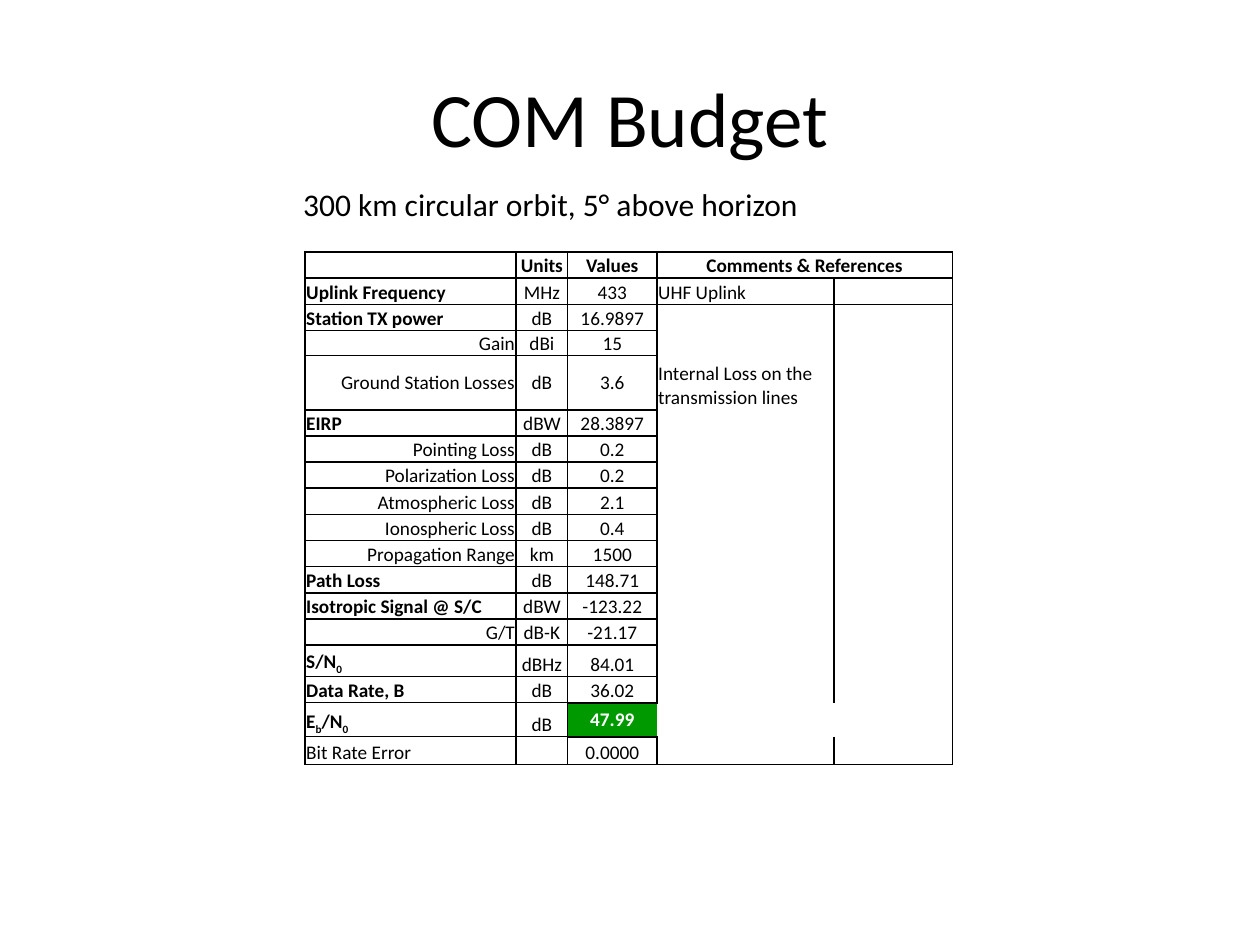
from lxml.etree import SubElement
from pptx import Presentation
from pptx.dml.color import RGBColor
from pptx.enum.text import MSO_ANCHOR as ANCHOR, PP_ALIGN as ALIGN
from pptx.oxml.ns import qn
from pptx.util import Inches, Pt

BLACK = RGBColor(0, 0, 0)
WHITE = RGBColor(255, 255, 255)
GREEN = RGBColor(0, 0x99, 0)
NO_GRID_STYLE = "{2D5ABB26-0587-4C30-8999-92F81FD0307C}"

COLS = [1.68, 0.41, 0.71, 1.41, 0.94]
SPECIAL_ROWS = {3: 0.2, 4: 0.43, 14: 0.25, 16: 0.27, 17: 0.22}
HEAD = ("", "Units", "Values", "Comments & References")
TERM, DETAIL, PLAIN = "term", "detail", "plain"
BUDGET = [
    (TERM, "Uplink Frequency", "MHz", "433", "UHF Uplink"),
    (TERM, "Station TX power", "dB", "16.9897", ""),
    (DETAIL, "Gain", "dBi", "15", ""),
    (DETAIL, "Ground Station Losses", "dB", "3.6", "Internal Loss on the transmission lines"),
    (TERM, "EIRP", "dBW", "28.3897", ""),
    (DETAIL, "Pointing Loss", "dB", "0.2", ""),
    (DETAIL, "Polarization Loss", "dB", "0.2", ""),
    (DETAIL, "Atmospheric Loss", "dB", "2.1", ""),
    (DETAIL, "Ionospheric Loss", "dB", "0.4", ""),
    (DETAIL, "Propagation Range", "km", "1500", ""),
    (TERM, "Path Loss", "dB", "148.71", ""),
    (TERM, "Isotropic Signal @ S/C", "dBW", "-123.22", ""),
    (DETAIL, "G/T", "dB-K", "-21.17", ""),
    (TERM, "S/N_0", "dBHz", "84.01", ""),
    (TERM, "Data Rate, B", "dB", "36.02", ""),
    (TERM, "E_b/N_0", "dB", "47.99", ""),
    (PLAIN, "Bit Rate Error", "", "0.0000", ""),
]
LOSSES_ROW, RESULT_ROW, LAST_ROW = 4, 16, len(BUDGET)
VALUE_COL, NOTE_COL, LAST_COL = 2, 3, 4


def write(tf, text, size=11, bold=False, color=BLACK, align=ALIGN.LEFT):
    """Write one paragraph; an underscore makes the next character a subscript."""
    p = tf.paragraphs[0]
    p.alignment = align
    first, *rest = text.split("_")
    pieces = [(first, False)]
    for part in rest:
        pieces += [(part[0], True), (part[1:], False)]
    for piece, is_sub in pieces:
        if piece:
            r = p.add_run()
            r.text = piece
            r.font.name, r.font.size, r.font.bold = "Calibri", Pt(size), bold
            r.font.color.rgb = color
            if is_sub:
                r.font._element.set("baseline", "-25000")
    if not text:
        SubElement(p._p, qn("a:endParaRPr"), sz=str(size * 100))


def cell_edges(row, col):
    """Return the border widths in points of one cell, by side."""
    if col < NOTE_COL or row == 0:
        edges = dict(L=1, R=1, T=1, B=1)
    else:
        edges = {"L" if col == NOTE_COL else "R": 1}
        if row == 1:
            edges["T"] = 1
        if row == LAST_ROW:
            edges["B"] = 1
    if (row, col) == (RESULT_ROW, VALUE_COL):
        return {"T": 1.5}
    if (row, col) == (RESULT_ROW - 1, VALUE_COL):
        edges["B"] = 1.5
    hidden = {(RESULT_ROW, VALUE_COL - 1): "R", (RESULT_ROW, NOTE_COL): "L",
              (LAST_ROW, VALUE_COL): "T"}
    edges.pop(hidden.get((row, col)), None)
    return edges


def draw_edges(cell, edges):
    """Draw the given sides of a cell in black."""
    tcPr = cell._tc.get_or_add_tcPr()
    for side in "LRTB":
        if side in edges:
            ln = SubElement(tcPr, qn(f"a:ln{side}"), w=str(Pt(edges[side])))
            fill = SubElement(ln, qn("a:solidFill"))
            SubElement(fill, qn("a:srgbClr"), val=str(BLACK))


def cell_format(row, col):
    """Return the text format of one cell."""
    if row == 0:
        return dict(bold=True, align=ALIGN.CENTER)
    if (row, col) == (RESULT_ROW, VALUE_COL):
        return dict(bold=True, align=ALIGN.CENTER, color=WHITE)
    if col == 0:
        kind = BUDGET[row - 1][0]
        return dict(bold=kind == TERM, align=ALIGN.RIGHT if kind == DETAIL else ALIGN.LEFT)
    return dict(align=ALIGN.CENTER if col < NOTE_COL else ALIGN.LEFT)


def add_budget(s, left, top, width, height):
    """Place the link budget table in the given box."""
    rows = [HEAD + ("",)] + [entry[1:] + ("",) for entry in BUDGET]
    box = [Inches(v) for v in (left, top, width, height)]
    table = s.shapes.add_table(len(rows), len(COLS), *box).table
    tblPr = table._tbl.tblPr
    tblPr.find(qn("a:tableStyleId")).text = NO_GRID_STYLE
    table.first_row = table.horz_banding = False
    for column, share in zip(table.columns, COLS):
        column.width = Inches(width * share / sum(COLS))
    regular = (height - sum(SPECIAL_ROWS.values())) / (len(rows) - len(SPECIAL_ROWS))
    for i, row in enumerate(rows):
        table.rows[i].height = Inches(SPECIAL_ROWS.get(i, regular))
        for j, text in enumerate(row):
            cell = table.cell(i, j)
            cell.margin_left = cell.margin_right = cell.margin_top = Inches(0.01)
            cell.margin_bottom = 0
            centred = (i == LOSSES_ROW and j < NOTE_COL) or (i, j) == (RESULT_ROW, VALUE_COL)
            cell.vertical_anchor = ANCHOR.MIDDLE if centred else ANCHOR.BOTTOM
            write(cell.text_frame, text, **cell_format(i, j))
            draw_edges(cell, cell_edges(i, j))
            if (i, j) == (RESULT_ROW, VALUE_COL):
                cell.fill.solid()
                cell.fill.fore_color.rgb = GREEN
            else:
                cell.fill.background()
    table.cell(0, NOTE_COL).merge(table.cell(0, LAST_COL))


def add_heading(s, left, top, width, height):
    """Place the title placeholder in the given box."""
    title = s.shapes.title
    title.left, title.top, title.width, title.height = map(Inches, (left, top, width, height))
    title.text_frame.vertical_anchor = ANCHOR.MIDDLE
    write(title.text_frame, "COM Budget", size=44, align=ALIGN.CENTER)


def add_subtitle(s, left, top, width, height):
    """Place the orbit line in the given box."""
    tf = s.shapes.add_textbox(*map(Inches, (left, top, width, height))).text_frame
    tf.word_wrap = True
    write(tf, "300 km circular orbit, 5° above horizon", size=18, align=ALIGN.CENTER)


prs = Presentation()
prs.slide_width, prs.slide_height = Inches(10), Inches(7.5)
s = prs.slides.add_slide(prs.slide_layouts[5])
add_heading(s, 0.5, 0.3, 9, 1.25)
add_budget(s, 2.42, 2, 5.14, 4.07)
add_subtitle(s, 1.08, 1.42, 6.58, 0.4)
prs.save("out.pptx")
